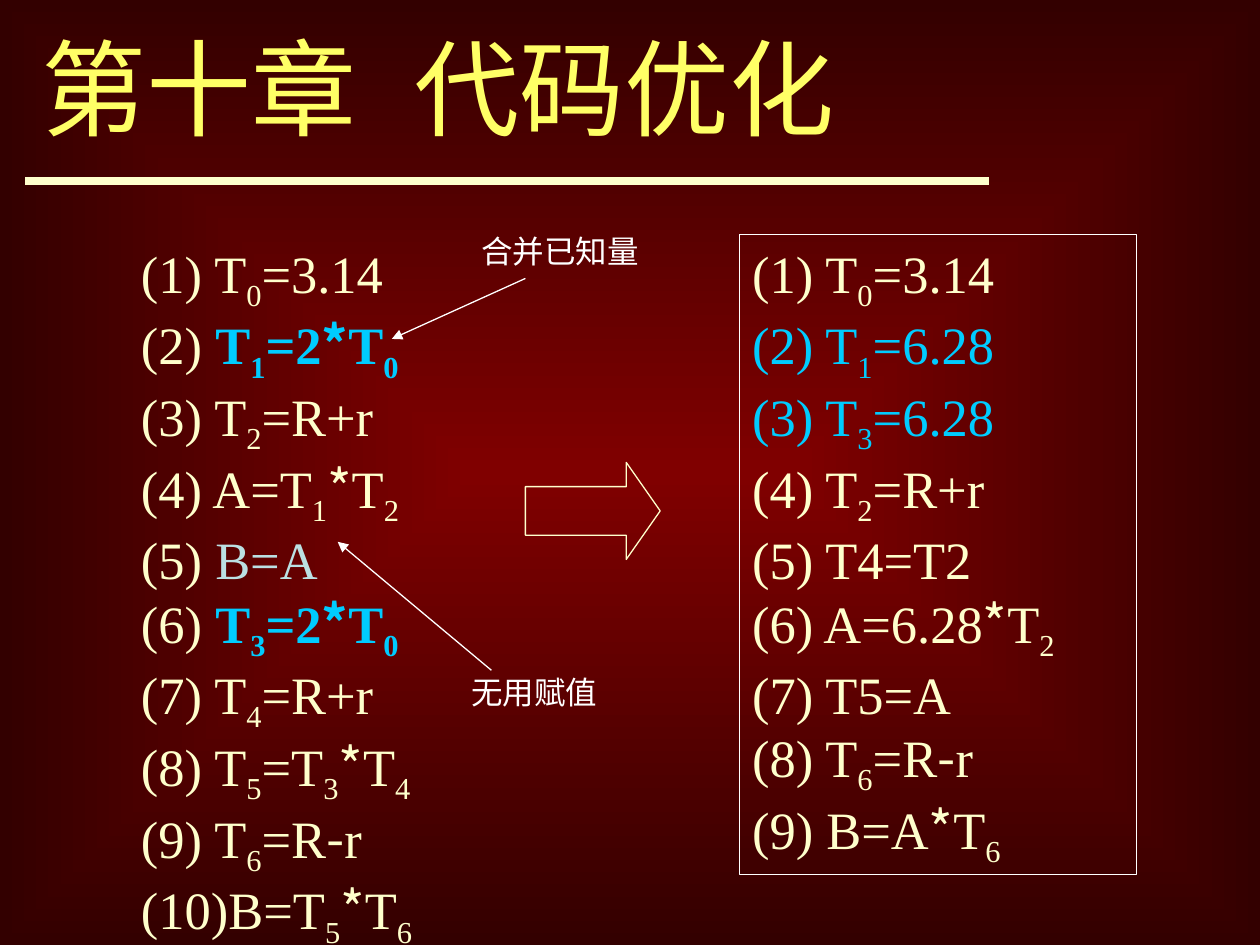
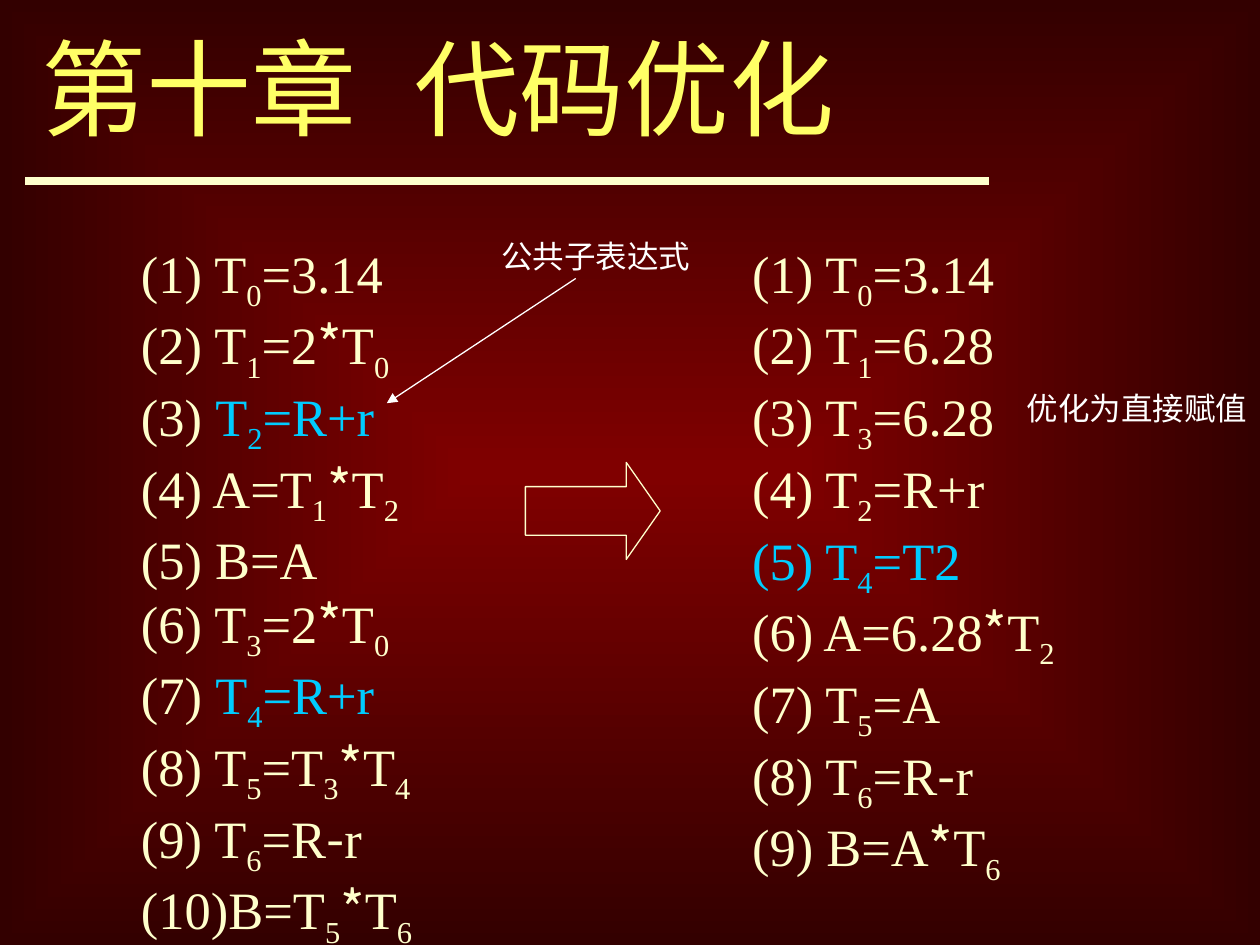
"""Build two slides on code optimisation, each showing code before and after."""
import itertools

import pptx
import pptx.dml.color
import pptx.enum.shapes
import pptx.enum.text
import pptx.oxml
import pptx.oxml.ns
import pptx.util
from pptx.util import Inches

CREAM, WHITE, GOLD = "FFFFCC", "FFFFFF", "FFFF66"
GLOW, DARK = "800000", "330000"
SANS, SERIF, STAR = "Arial", "Times New Roman", "Noto Sans CJK SC"
TITLE = ("第十章", "代码优化")
LOOKS = {
    "": {"color": CREAM},
    "sky": {"color": "00CCFF"},
    "bold": {"color": "00CCFF", "bold": True},
    "pale": {"color": "BBE0E3"},
}

# Code lines read "plain|marked|look"; an underscore lowers the next character.
SLIDES = [
    {
        "before": [
            "(1) T_0=3.14", "(2) |T_1=2*T_0|bold", "(3) T_2=R+r", "(4) A=T_1*T_2",
            "(5) |B=A|pale", "(6) |T_3=2*T_0|bold", "(7) T_4=R+r", "(8) T_5=T_3*T_4",
            "(9) T_6=R-r", "(10)B=T_5*T_6",
        ],
        "after": [
            "(1) T_0=3.14", "|(2) T_1=6.28|sky", "|(3) T_3=6.28|sky", "(4) T_2=R+r",
            "(5) T4=T2", "(6) A=6.28*T_2", "(7) T5=A", "(8) T_6=R-r", "(9) B=A*T_6",
        ],
        "frame": WHITE,
        "size": (3.15, 5.08),
        "notes": [("合并已知量", (3.72, 1.79, 1.45, 0.4)),
                  ("无用赋值", (3.64, 5.29, 1.2, 0.4))],
        "links": [((4.17, 2.21), (3.11, 2.69)), ((3.9, 5.32), (2.68, 4.3))],
    },
    {
        "before": [
            "(1) T_0=3.14", "(2) T_1=2*T_0", "(3) |T_2=R+r|sky", "(4) A=T_1*T_2",
            "(5) B=A", "(6) T_3=2*T_0", "(7) |T_4=R+r|sky", "(8) T_5=T_3*T_4",
            "(9) T_6=R-r", "(10)B=T_5*T_6",
        ],
        "after": [
            "(1) T_0=3.14", "(2) T_1=6.28", "(3) T_3=6.28", "(4) T_2=R+r",
            "|(5) T_4=T2|sky", "(6) A=6.28*T_2", "(7) T_5=A", "(8) T_6=R-r", "(9) B=A*T_6",
        ],
        "frame": None,
        "size": (3.15, 5.22),
        "notes": [("公共子表达式", (3.88, 1.83, 1.7, 0.4)),
                  ("优化为直接赋值", (8.05, 3.04, 1.95, 0.4))],
        "links": [((4.57, 2.21), (3.07, 3.2))],
    },
]


def rgb(code):
    return pptx.dml.color.RGBColor.from_string(code)


def write(para, text, size=30, font=SERIF, color=CREAM, bold=False, base=0, gap=0):
    run = para.add_run()
    run.text = text
    run.font.size = pptx.util.Pt(size)
    run.font.name = font
    run.font.bold = bold
    run.font.color.rgb = rgb(color)
    props = run.font._element
    east = pptx.oxml.parse_xml(f'<a:ea {pptx.oxml.ns.nsdecls("a")} typeface="{font}"/>')
    props.find(pptx.oxml.ns.qn("a:latin")).addnext(east)
    if base:
        props.set("baseline", str(base * 1000))
    if gap:
        props.set("spc", str(round(gap * 100)))


def outline(shape, color):
    shape.shadow.inherit = False
    shape.fill.background()
    shape.line.color.rgb = rgb(color)
    shape.line.width = pptx.util.Pt(0.75)


def panel(slide, at, frame=None, wrap=True):
    place = [Inches(n) for n in at]
    if frame:
        box = slide.shapes.add_shape(pptx.enum.shapes.MSO_SHAPE.RECTANGLE, *place)
        outline(box, frame)
    else:
        box = slide.shapes.add_textbox(*place)
    body = box.text_frame
    body.word_wrap = wrap
    body.auto_size = pptx.enum.text.MSO_AUTO_SIZE.SHAPE_TO_FIT_TEXT
    body.vertical_anchor = pptx.enum.text.MSO_ANCHOR.TOP
    return body


def lead(para, size, extra=0):
    para.alignment = pptx.enum.text.PP_ALIGN.LEFT
    para.line_spacing = pptx.util.Pt(size * 1.2 + extra)


def split(text):
    kinds = []
    low = False
    for char in text:
        if char != "_":
            kinds.append((char, "low" if low else "star" if char in "*-" else "text"))
        low = char == "_"
    for kind, group in itertools.groupby(kinds, key=lambda pair: pair[1]):
        yield "".join(char for char, _ in group), kind


def code(slide, lines, at, frame=None):
    body = panel(slide, at, frame)
    for row, line in enumerate(lines):
        para = body.add_paragraph() if row else body.paragraphs[0]
        lead(para, 30, 5 if "_" in line else 0)
        plain, marked, look = (line.split("|") + ["", ""])[:3]
        for part, name in ((plain, ""), (marked, look)):
            for text, kind in split(part):
                write(para, text, font=STAR if kind == "star" else SERIF,
                      base=-25 if kind == "low" else 0, **LOOKS[name])


def line(slide, start, end, color, width, arrow=False):
    ends = [Inches(n) for n in start + end]
    link = slide.shapes.add_connector(pptx.enum.shapes.MSO_CONNECTOR.STRAIGHT, *ends)
    link.line.color.rgb = rgb(color)
    link.line.width = pptx.util.Pt(width)
    space = pptx.oxml.ns.nsdecls("a")
    if arrow:
        stroke = link.line._get_or_add_ln()
        stroke.append(pptx.oxml.parse_xml(f'<a:tailEnd {space} type="triangle"/>'))
    link._element.spPr.append(pptx.oxml.parse_xml(f"<a:effectLst {space}/>"))


def backdrop(slide):
    fill = slide.background.fill
    fill.gradient()
    for stop, color in zip(fill.gradient_stops, (GLOW, DARK)):
        stop.color.rgb = rgb(color)
    fill.gradient_stops[0].position = 0
    fill.gradient_stops[1].position = 1
    grad = slide._element.find(".//" + pptx.oxml.ns.qn("a:gradFill"))
    grad.remove(grad.find(pptx.oxml.ns.qn("a:lin")))
    grad.append(pptx.oxml.parse_xml(
        f'<a:path {pptx.oxml.ns.nsdecls("a")} path="rect">'
        '<a:fillToRect l="50000" t="50000" r="50000" b="50000"/></a:path>'))


def title(slide):
    para = panel(slide, (0.23, 0.14, 7.36, 1.1)).paragraphs[0]
    lead(para, 60)
    first, last = TITLE
    for text, gap in ((first, 0), (" ", 16.7), (last, 0)):
        write(para, text, size=60, font=SANS, color=GOLD, gap=gap)


def arrow(slide):
    place = [Inches(n) for n in (4.17, 3.67, 1.07, 0.77)]
    shape = slide.shapes.add_shape(pptx.enum.shapes.MSO_SHAPE.RIGHT_ARROW, *place)
    shape.adjustments[0], shape.adjustments[1] = 0.5, 0.35
    outline(shape, CREAM)


def build(deck, data):
    slide = deck.slides.add_slide(deck.slide_layouts[6])
    backdrop(slide)
    line(slide, (0.2, 1.44), (7.85, 1.44), CREAM, 4.5)
    code(slide, data["after"], (5.87, 1.86) + data["size"], data["frame"])
    code(slide, data["before"], (1.02, 1.86, 3.09, 5.72))
    arrow(slide)
    title(slide)
    for text, at in data["notes"]:
        para = panel(slide, at, wrap=False).paragraphs[0]
        lead(para, 18)
        write(para, text, size=18, font=SANS, color=WHITE)
    for start, end in data["links"]:
        line(slide, start, end, WHITE, 0.75, arrow=True)


def main():
    deck = pptx.Presentation()
    deck.slide_width, deck.slide_height = Inches(10), Inches(7.5)
    for data in SLIDES:
        build(deck, data)
    deck.save("out.pptx")


if __name__ == "__main__":
    main()
